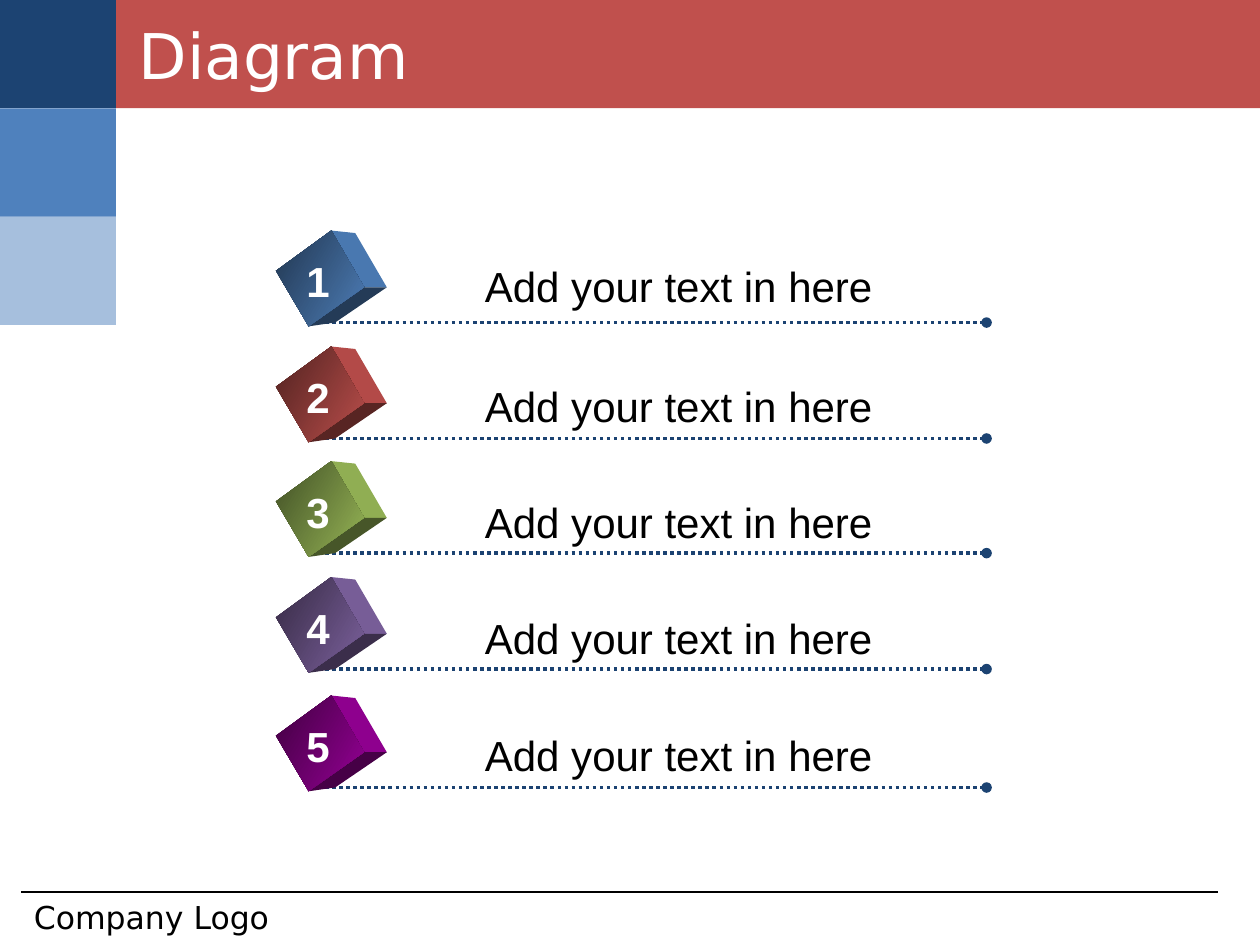
from dataclasses import dataclass

from lxml.etree import SubElement
from pptx import Presentation
from pptx.dml.color import RGBColor
from pptx.enum.dml import MSO_LINE
from pptx.enum.shapes import MSO_CONNECTOR, MSO_SHAPE
from pptx.enum.text import MSO_ANCHOR, MSO_AUTO_SIZE, PP_ALIGN
from pptx.oxml.ns import qn
from pptx.util import Inches, Pt


@dataclass(frozen=True)
class Theme:
    navy: str = "1C4372"
    blue: str = "4F81BD"
    red: str = "C0504D"
    green: str = "9BBB59"
    violet: str = "8064A2"
    purple: str = "990099"
    black: str = "000000"
    white: str = "FFFFFF"
    head: str = "DejaVu Sans"
    body: str = "Arial"
    title: int = 36
    item: int = 24
    foot: int = 18


THEME = Theme()
# Number, label, colour, top of the label, height of the rule
ROWS = [
    ("1", "Add your text in here", THEME.blue, 2.02, 2.56),
    ("2", "Add your text in here", THEME.red, 2.97, 3.48),
    ("3", "Add your text in here", THEME.green, 3.89, 4.39),
    ("4", "Add your text in here", THEME.violet, 4.81, 5.31),
    ("5", "Add your text in here", THEME.purple, 5.74, 6.25),
]
# Corners of the tilted cube, from the left top of its box
LEFT, TOP, MID, LOW = (0, 0.32), (0.44, 0), (0.7, 0.45), (0.26, 0.76)
BACK, RIGHT, BASE = (0.63, 0.02), (0.88, 0.45), (0.47, 0.73)


def shade(color, part):
    """Darken a colour to the given part of its strength."""
    return RGBColor(*(round(c * part) for c in RGBColor.from_string(color)))


def write(shape, text, font=THEME.body, size=THEME.item, color=THEME.black,
          bold=False, align=PP_ALIGN.LEFT, anchor=MSO_ANCHOR.TOP, wrap=True):
    frame = shape.text_frame
    frame.auto_size = MSO_AUTO_SIZE.NONE
    frame.word_wrap = wrap
    frame.vertical_anchor = anchor
    para = frame.paragraphs[0]
    para.alignment = align
    run = para.add_run()
    run.text = text
    run.font.name = font
    run.font.size = Pt(size)
    run.font.bold = bold
    run.font.color.rgb = RGBColor.from_string(color)


def label(slide, box, text, **style):
    write(slide.shapes.add_textbox(*map(Inches, box)), text, **style)


def block(slide, box, color, alpha=None):
    shape = slide.shapes.add_shape(MSO_SHAPE.RECTANGLE, *map(Inches, box))
    shape.shadow.inherit = False
    shape.line.fill.background()
    shape.fill.solid()
    shape.fill.fore_color.rgb = RGBColor.from_string(color)
    if alpha:
        tint = shape.fill._xPr.find(".//" + qn("a:srgbClr"))
        SubElement(tint, qn("a:alpha"), val=str(alpha * 1000))


def rule(slide, x, y, end, color, width, dotted=False):
    """Draw a level line; a dotted one ends in a round dot."""
    line = slide.shapes.add_connector(
        MSO_CONNECTOR.STRAIGHT, Inches(x), Inches(y), Inches(end), Inches(y))
    line.line.color.rgb = RGBColor.from_string(color)
    line.line.width = Pt(width)
    if dotted:
        line.line.dash_style = MSO_LINE.ROUND_DOT
        SubElement(line.line._get_or_add_ln(), qn("a:tailEnd"), type="oval")
    SubElement(line._element.spPr, qn("a:effectLst"))


def face(slide, x, y, points):
    spots = [(Inches(x + dx), Inches(y + dy)) for dx, dy in points]
    path = slide.shapes.build_freeform(*spots[0])
    path.add_line_segments(spots[1:], close=True)
    shape = path.convert_to_shape()
    shape.shadow.inherit = False
    shape.line.fill.background()
    return shape


def cube(slide, x, y, color):
    for points, part in [((TOP, BACK, RIGHT, MID), 0.93),
                         ((MID, RIGHT, BASE, LOW), 0.46)]:
        side = face(slide, x, y, points)
        side.fill.solid()
        side.fill.fore_color.rgb = shade(color, part)
    front = face(slide, x, y, (LEFT, TOP, MID, LOW))
    front.fill.gradient()
    front.fill.gradient_angle = 330
    for stop, part in zip(front.fill.gradient_stops, (0.42, 0.97)):
        stop.color.rgb = shade(color, part)


def header(slide, x, y, width, text):
    side, high = 0.92, 0.86
    block(slide, (x + side, y, width - side, high), THEME.red)
    for i, (color, alpha) in enumerate(
            [(THEME.navy, None), (THEME.blue, None), (THEME.blue, 50)]):
        block(slide, (x, y + i * high, side, high), color, alpha)
    title = slide.shapes.title
    title.left, title.top = Inches(x + 1), Inches(y + 0.12)
    title.width, title.height = Inches(8), Inches(0.62)
    write(title, text, font=THEME.head, size=THEME.title,
          color=THEME.white, anchor=MSO_ANCHOR.MIDDLE)
    tree = slide.shapes._spTree
    tree.append(title._element)  # bring the title above the band


def entry(slide, x, row):
    number, text, color, top, base = row
    rule(slide, x + 0.39, base, x + 5.64, THEME.navy, 2, dotted=True)
    cube(slide, x, base - 0.73, color)
    label(slide, (x + 0.14, base - 0.58, 0.39, 0.5), number, bold=True,
          color=THEME.white, align=PP_ALIGN.CENTER, wrap=False)
    label(slide, (x + 1.56, top, 3.28, 0.5), text, wrap=False)


def footer(slide, x, y, text):
    rule(slide, x, y, x + 9.5, THEME.black, 0.75)
    label(slide, (x, y, 3.17, 0.42), text, font=THEME.head, size=THEME.foot)


def main():
    deck = Presentation()
    deck.slide_width, deck.slide_height = Inches(10), Inches(7.5)
    slide = deck.slides.add_slide(deck.slide_layouts[5])
    header(slide, 0, 0, 10, "Diagram")
    for row in ROWS:
        entry(slide, 2.19, row)
    footer(slide, 0.17, 7.08, "Company Logo")
    deck.save("out.pptx")


if __name__ == "__main__":
    main()
